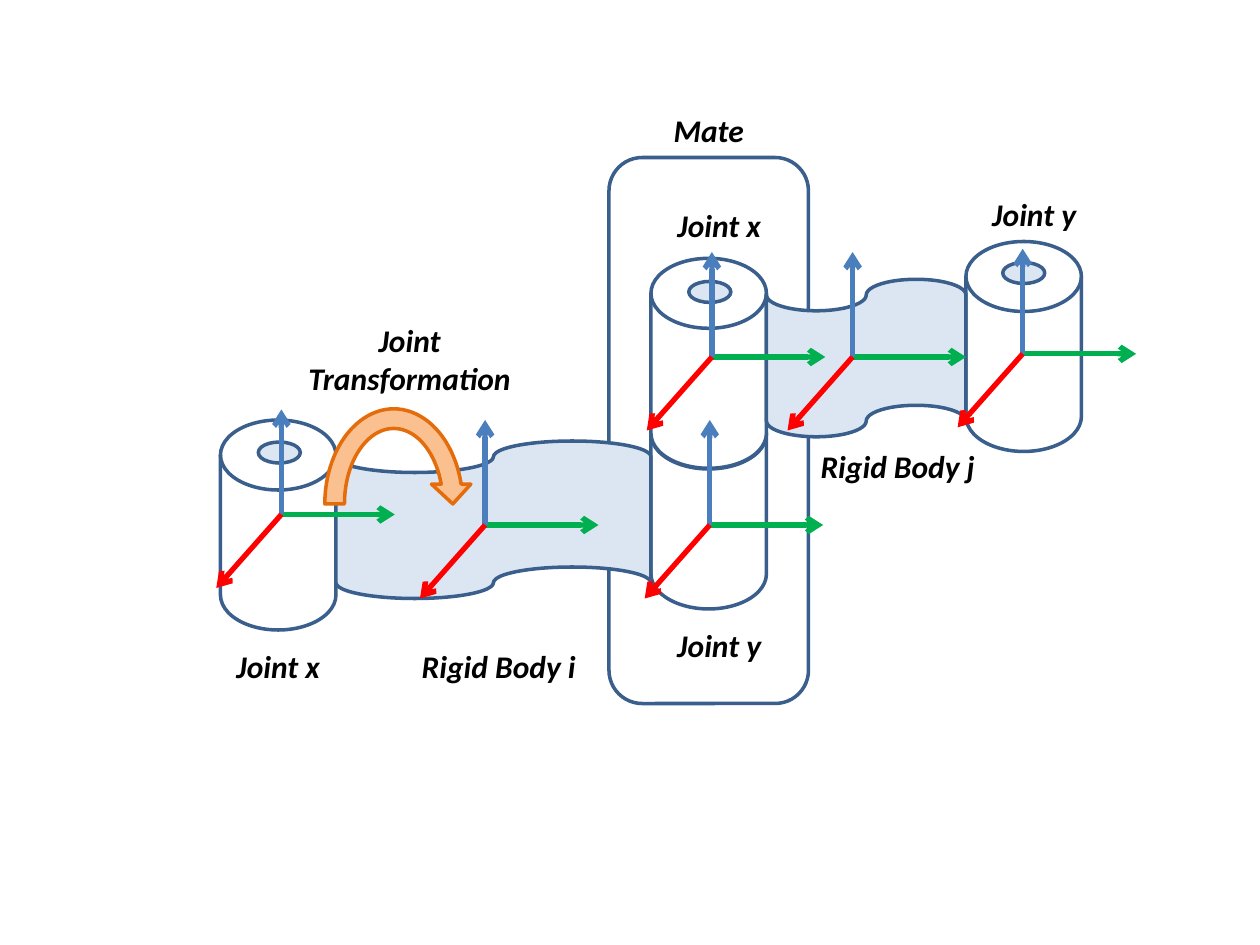
import dataclasses
import typing

import pptx
import pptx.dml.color
import pptx.enum.shapes
import pptx.enum.text
import pptx.oxml.ns
import pptx.util
import lxml.etree

SHAPE = pptx.enum.shapes.MSO_SHAPE
COLS, ROWS = 120, 90
NAVY, PALE, WHITE = "3A5F8C", "DCE6F2", "FFFFFF"
GREEN, BLUE, RED = "00B050", "4B7EBC", "FF0000"
AMBER, PEACH, BLACK = "E46C0A", "FAC090", "000000"

deck = pptx.Presentation()
deck.slide_width = pptx.util.Inches(10)
deck.slide_height = pptx.util.Inches(7.5)
slide = deck.slides.add_slide(deck.slide_layouts[6])


@dataclasses.dataclass
class Part:
    kind: SHAPE
    col: float
    row: float
    wide: float
    high: float
    fill: typing.Optional[str] = None
    edge: str = NAVY


@dataclasses.dataclass
class Label:
    text: str
    col: float
    row: float
    wide: float = 13
    high: float = 4.8


def across(cols: float) -> int:
    return round(deck.slide_width * cols / COLS)


def down(rows: float) -> int:
    return round(deck.slide_height * rows / ROWS)


def color(code: str) -> pptx.dml.color.RGBColor:
    return pptx.dml.color.RGBColor.from_string(code)


def disk(col: float, row: float, fill: typing.Optional[str] = None) -> Part:
    return Part(SHAPE.FLOWCHART_MAGNETIC_DISK, col, row, 11, 20, fill)


def tape(col: float, row: float, wide: float) -> Part:
    return Part(SHAPE.FLOWCHART_PUNCHED_TAPE, col, row, wide, 15, PALE)


def hole(col: float, row: float) -> Part:
    return Part(SHAPE.OVAL, col, row, 4, 2, PALE)


def draw_part(part: Part) -> None:
    shape = slide.shapes.add_shape(
        part.kind, across(part.col), down(part.row), across(part.wide), down(part.high)
    )
    shape.shadow.inherit = False
    if part.fill:
        shape.fill.solid()
        shape.fill.fore_color.rgb = color(part.fill)
    else:
        shape.fill.background()
    shape.line.color.rgb = color(part.edge)
    shape.line.width = pptx.util.Pt(2)


def draw_arrow(col: float, row: float, to_col: float, to_row: float, code: str) -> None:
    arrow = slide.shapes.add_connector(
        pptx.enum.shapes.MSO_CONNECTOR.STRAIGHT,
        across(col), down(row), across(to_col), down(to_row),
    )
    arrow.line.color.rgb = color(code)
    arrow.line.width = pptx.util.Pt(3)
    tag = pptx.oxml.ns.qn
    lxml.etree.SubElement(arrow.line._get_or_add_ln(), tag("a:tailEnd"), type="arrow")
    lxml.etree.SubElement(arrow._element.spPr, tag("a:effectLst"))


def draw_axes(col: float, row: float) -> None:
    draw_arrow(col - 0.2, row, col + 10.8, row, GREEN)
    draw_arrow(col, row, col, row - 10, BLUE)
    draw_arrow(col, row, col - 6.2, row + 7, RED)


def draw_label(label: Label) -> None:
    box = slide.shapes.add_textbox(
        across(label.col), down(label.row), across(label.wide), down(label.high)
    )
    frame = box.text_frame
    frame.word_wrap = True
    frame.auto_size = pptx.enum.text.MSO_AUTO_SIZE.SHAPE_TO_FIT_TEXT
    frame.text = label.text
    line = frame.paragraphs[0]
    line.alignment = pptx.enum.text.PP_ALIGN.CENTER
    font = line.runs[0].font
    font.name = "Calibri"
    font.size = pptx.util.Pt(18)
    font.bold = font.italic = True
    font.color.rgb = color(BLACK)


PARTS = [
    Part(SHAPE.ROUNDED_RECTANGLE, 58, 15, 19, 52),
    disk(21, 40),
    tape(32, 42, 30),
    disk(62, 38),
    hole(24.6, 42.1),
    disk(62, 24.6, WHITE),
    tape(73, 26.6, 19),
    disk(92, 23),
    hole(65.6, 26.8),
    hole(95.5, 25),
]
AXES = [(46.2, 50), (26.8, 49), (67.6, 50), (67.8, 34), (81.2, 34), (97.4, 33.7)]
LABELS = [
    Label("Rigid Body i", 37, 61, 21),
    Label("Rigid Body j", 75, 42, 21),
    Label("Joint x", 20, 61),
    Label("Joint y", 62, 59),
    Label("Joint x", 62, 19),
    Label("Joint y", 92, 18),
    Label("Mate", 61, 10),
    Label("Joint Transformation", 28, 30, 22, 8.5),
]

for part in PARTS:
    draw_part(part)
for col, row in AXES:
    draw_axes(col, row)
draw_part(Part(SHAPE.CIRCULAR_ARROW, 30, 38, 15, 20, PEACH, AMBER))
for label in LABELS:
    draw_label(label)

deck.save("out.pptx")
